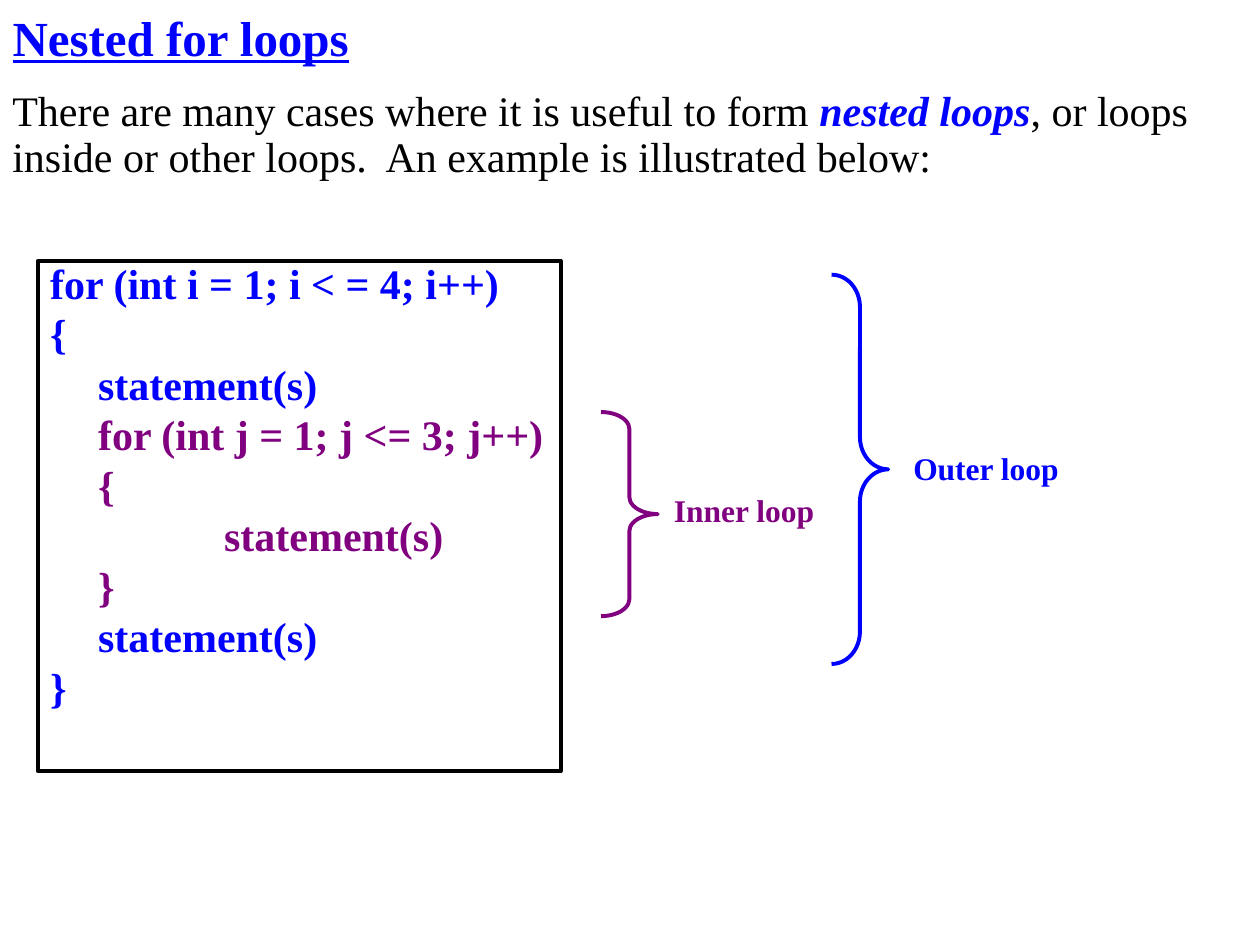
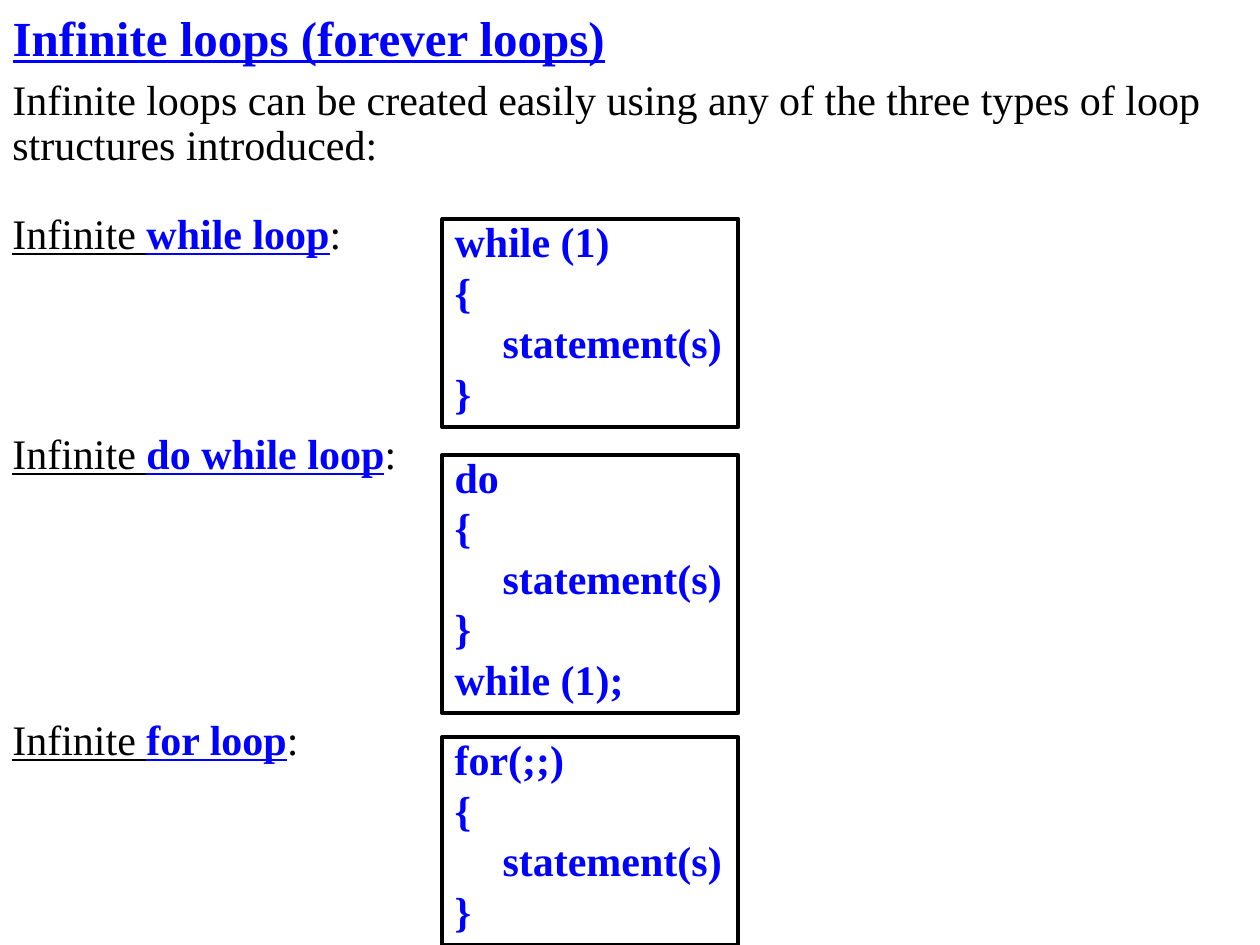
"""Build two slides about nested loops and infinite loops."""
from pptx import Presentation
from pptx.dml.color import RGBColor
from pptx.enum import shapes, text
from pptx.util import Inches, Pt

COLORS = {"text": "000000", "outer": "0000FF", "inner": "800080"}
FONT = "Times New Roman"
LINE_WIDTH = Pt(2.25)
CODE_INDENTS = [0, 0.38, 1.38]

PLAIN = {"color": "text"}
STRONG = {"color": "outer", "bold": True}
STRONG_ITALIC = {**STRONG, "italic": True}

NESTED = {
    "title": "Nested for loops",
    "title_width": 4.62,
    "intro": [("There are many cases where it is useful to form ", PLAIN),
              ("nested loops", STRONG_ITALIC),
              (", or loops inside or other loops.  An example is illustrated below:", PLAIN)],
    "intro_at": (0, 0.67, 9.84, 0.82),
}
NESTED_CODE = [
    (0, "for (int i = 1; i < = 4; i++)", "outer"),
    (0, "{", "outer"),
    (1, "statement(s)", "outer"),
    (1, "for (int j = 1; j <= 3; j++)", "inner"),
    (1, "{", "inner"),
    (2, "statement(s)", "inner"),
    (1, "}", "inner"),
    (1, "statement(s)", "outer"),
    (0, "}", "outer"),
]
NESTED_CODE_AT = (0.3, 2.07, 4.15, 4.05)
BRACES = [
    ("Inner loop", "inner", (4.77, 3.27, 0.45, 1.62), 0.3, (5.25, 3.91, 1.32, 0.34)),
    ("Outer loop", "outer", (6.6, 2.18, 0.45, 3.09), 0.57, (7.15, 3.57, 1.36, 0.34)),
]

INFINITE = {
    "title": "Infinite loops (forever loops)",
    "title_width": 6.99,
    "intro": [("Infinite loops can be created easily using any of the three types "
               "of loop structures introduced:", PLAIN)],
    "intro_at": (0, 0.58, 9.64, 0.82),
}
BLOCK = [(0, "{", "outer"), (1, "statement(s)", "outer"), (0, "}", "outer")]
INFINITE_LOOPS = [
    ("while loop", 1.64, 1.74, [(0, "while (1)", "outer"), *BLOCK]),
    ("do while loop", 3.39, 3.61, [(0, "do", "outer"), *BLOCK, (0, "while (1);", "outer")]),
    ("for loop", 5.66, 5.85, [(0, "for(;;)", "outer"), *BLOCK]),
]


def place(box):
    return [Inches(value) for value in box]


def color(name):
    return RGBColor.from_string(COLORS[name])


def add_run(paragraph, words, style, size=24):
    run = paragraph.add_run()
    run.text = words
    font = run.font
    font.name, font.size = FONT, Pt(size)
    font.bold = style.get("bold", False)
    font.italic = style.get("italic", False)
    font.underline = style.get("underline", False)
    font.color.rgb = color(style["color"])


def add_text(parent, box, runs, size=24, spacing=0.9, wrap=True):
    frame = parent.add_textbox(*place(box)).text_frame
    frame.word_wrap = wrap
    paragraph = frame.paragraphs[0]
    paragraph.line_spacing = spacing
    for words, style in runs:
        add_run(paragraph, words, style, size)


def add_outline(parent, kind, box, color_name):
    shape = parent.add_shape(kind, *place(box))
    shape.shadow.inherit = False
    shape.fill.background()
    shape.line.color.rgb = color(color_name)
    shape.line.width = LINE_WIDTH
    return shape


def add_code(parent, box, lines):
    shape = add_outline(parent, shapes.MSO_SHAPE.RECTANGLE, box, "text")
    frame = shape.text_frame
    frame.word_wrap = True
    frame.vertical_anchor = text.MSO_ANCHOR.TOP
    for number, (level, words, color_name) in enumerate(lines):
        paragraph = frame.add_paragraph() if number else frame.paragraphs[0]
        paragraph.alignment = text.PP_ALIGN.LEFT
        paragraph.line_spacing = 0.8
        paragraph.space_before = Pt(5.8 if number else 0)
        properties = paragraph._p.get_or_add_pPr()
        properties.set("marL", str(Inches(CODE_INDENTS[level])))
        properties.set("indent", "0")
        add_run(paragraph, words, {"color": color_name, "bold": True})


def add_slide(presentation, content):
    slide = presentation.slides.add_slide(presentation.slide_layouts[5])
    title = slide.shapes.title
    title.left, title.top, title.width, title.height = place(
        (0, 0, content["title_width"], 0.58))
    frame = title.text_frame
    frame.auto_size = text.MSO_AUTO_SIZE.NONE
    frame.vertical_anchor = text.MSO_ANCHOR.MIDDLE
    paragraph = frame.paragraphs[0]
    paragraph.alignment = text.PP_ALIGN.LEFT
    add_run(paragraph, content["title"], {**STRONG, "underline": True}, 28)
    add_text(slide.shapes, content["intro_at"], content["intro"])
    return slide


def build_nested(presentation):
    slide = add_slide(presentation, NESTED)
    diagram = slide.shapes.add_group_shape().shapes
    add_code(diagram, NESTED_CODE_AT, NESTED_CODE)
    for label, color_name, brace_at, curve, label_at in BRACES:
        brace = add_outline(diagram, shapes.MSO_SHAPE.RIGHT_BRACE, brace_at, color_name)
        brace.adjustments[0] = curve
        style = {"color": color_name, "bold": True}
        add_text(diagram, label_at, [(label, style)], size=18, spacing=0.8, wrap=False)


def build_infinite(presentation):
    slide = add_slide(presentation, INFINITE)
    for name, label_top, code_top, lines in INFINITE_LOOPS:
        add_text(slide.shapes, (0, label_top, 9.64, 0.46), [
            ("Infinite ", {**PLAIN, "underline": True}),
            (name, {**STRONG, "underline": True}),
            (":", PLAIN)])
        add_code(slide.shapes, (3.51, code_top, 2.35, 0.05 + 0.4 * len(lines)), lines)


def main():
    presentation = Presentation()
    presentation.slide_width, presentation.slide_height = Inches(10), Inches(7.5)
    build_nested(presentation)
    build_infinite(presentation)
    presentation.save("out.pptx")


if __name__ == "__main__":
    main()
